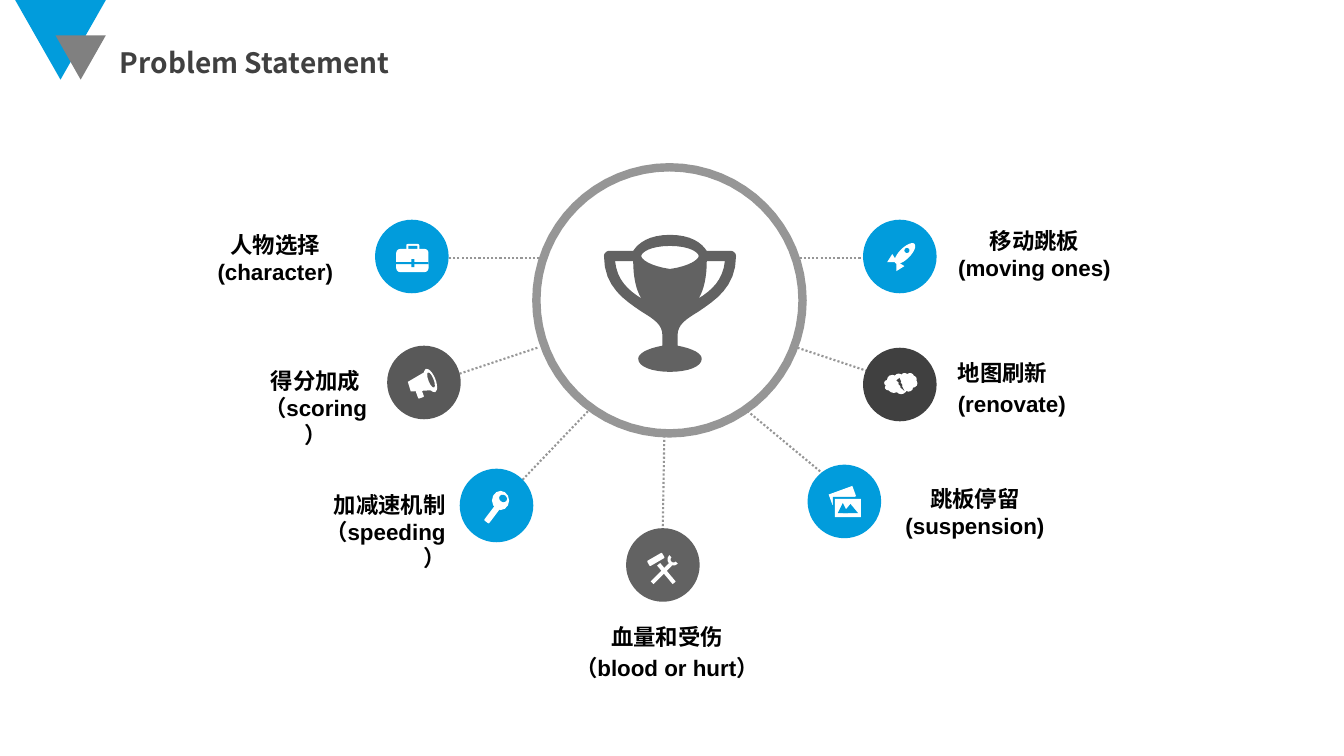
from math import cos, pi, sin

from lxml import etree
from pptx import Presentation
from pptx.dml.color import RGBColor
from pptx.enum.dml import MSO_LINE
from pptx.enum.shapes import MSO_CONNECTOR, MSO_SHAPE
from pptx.enum.text import MSO_ANCHOR, MSO_AUTO_SIZE, PP_ALIGN
from pptx.oxml.ns import qn
from pptx.util import Pt

PX = 9144  # EMU in one px, 100 px to the inch
BLUE = RGBColor(0x01, 0x9C, 0xDC)
MID_GRAY = RGBColor(0x80, 0x80, 0x80)
LINE_GRAY = RGBColor(0x96, 0x96, 0x96)
STEEL = RGBColor(0x62, 0x62, 0x62)
SLATE = RGBColor(0x59, 0x59, 0x59)
CHARCOAL = RGBColor(0x40, 0x40, 0x40)
WHITE = RGBColor(0xFF, 0xFF, 0xFF)
BLACK = RGBColor(0, 0, 0)

TRIANGLE, OVAL = MSO_SHAPE.ISOSCELES_TRIANGLE, MSO_SHAPE.OVAL
RECTANGLE, ROUNDED = MSO_SHAPE.RECTANGLE, MSO_SHAPE.ROUNDED_RECTANGLE
TRAPEZOID, BLOCK_ARC = MSO_SHAPE.TRAPEZOID, MSO_SHAPE.BLOCK_ARC
CLOUD_SHAPE, BOLT = MSO_SHAPE.CLOUD, MSO_SHAPE.LIGHTNING_BOLT
STRAIGHT, DOTTED = MSO_CONNECTOR.STRAIGHT, MSO_LINE.ROUND_DOT
LEFT, CENTER, RIGHT = PP_ALIGN.LEFT, PP_ALIGN.CENTER, PP_ALIGN.RIGHT
TOP, GROW = MSO_ANCHOR.TOP, MSO_AUTO_SIZE.SHAPE_TO_FIT_TEXT
CJK_FONT = "Noto Sans CJK SC"
TITLE_FONT = {"name": CJK_FONT, "size": Pt(20), "bold": True}
LABEL_FONT = {"name": "Arial", "size": Pt(16), "bold": True}
LABEL_FRAME = {"margin_left": 0, "margin_top": 0, "margin_right": 0, "margin_bottom": 0,
               "word_wrap": True, "vertical_anchor": TOP, "auto_size": GROW}
TITLE_FRAME = {**LABEL_FRAME, "margin_left": 10 * PX, "margin_top": 5 * PX,
               "margin_right": 10 * PX, "margin_bottom": 5 * PX}

DISC = 73
CURVE_STEPS = 8

# Icon parts: preset, box, rotation, and whether it is cut out in the disc colour
BRIEFCASE = [
    (ROUNDED, (10, 0, 13, 9), 0, False), (RECTANGLE, (12, 2, 9, 4), 0, True),
    (ROUNDED, (0, 5, 32, 23), 0, False), (RECTANGLE, (0, 18, 32, 2), 0, True),
    (RECTANGLE, (15, 15, 3, 8), 0, True),
]
MEGAPHONE = [
    (ROUNDED, (8, 19, 6, 11), -20, False), (TRAPEZOID, (1, 5, 20, 21), -107, False),
    (OVAL, (17, 0, 10, 25), -22, False), (OVAL, (20, 4, 5, 16), -22, True),
]
KEY = [
    (ROUNDED, (6, 11, 6, 22), 37, False), (OVAL, (8, 0, 17, 19), 0, False),
    (OVAL, (15, 4, 8, 7), 35, True),
]
TOOLS = [
    (RECTANGLE, (13, 7, 4, 26), 45, False), (BLOCK_ARC, (21, 0, 12, 12), 225, False),
    (RECTANGLE, (18, 8, 4, 24), -40, False), (ROUNDED, (1, 3, 17, 6), -30, False),
]
PHOTOS = [
    (RECTANGLE, (2, 5, 25, 11), -20, False), (RECTANGLE, (5, 12, 28, 20), 0, True),
    (RECTANGLE, (7, 14, 26, 18), 0, False), (TRIANGLE, (10, 18, 10, 10), 0, True),
    (TRIANGLE, (15, 19, 15, 9), 0, True),
]
CLOUD = [(CLOUD_SHAPE, (0, 0, 33, 21), 0, False), (BOLT, (12, 5, 8, 13), 0, True)]
ROCKET = [
    (OVAL, (13, -2, 11, 27), 45, False), (TRIANGLE, (1, 12, 10, 8), 0, False),
    (TRIANGLE, (9, 20, 10, 8), 90, False), (OVAL, (18, 6, 5, 5), 0, True),
]

# Right half of the trophy: two numbers are a corner, six are a Bezier curve
TROPHY_AXIS = 65.5
TROPHY_RIM = [(65, 0), (86, 0, 97, 8, 102, 16), (126, 16), (128, 16, 131, 18, 131, 21),
              (131, 52, 110, 65, 94, 76), (81, 84, 73, 89, 73, 100), (73, 110),
              (89, 113, 97, 118, 97, 123), (97, 131, 83, 136, 65, 136)]
TROPHY_MOUTH = [(65, 11), (86, 11, 94, 18, 94, 21), (94, 24, 86, 31, 65, 34)]
TROPHY_HANDLE = [(94, 63), (99, 55, 102, 42, 102, 26), (120, 26), (118, 45, 107, 55, 94, 63)]

# Disc corner, colour, icon, icon offset in the disc, dotted line from and to
CALLOUTS = [
    ((372, 218), BLUE, BRIEFCASE, (21, 24), (535, 256), (434, 256)),
    ((384, 343), SLATE, MEGAPHONE, (21, 22), (533, 345), (428, 380)),
    ((456, 465), BLUE, KEY, (24, 22), (586, 405), (503, 492)),
    ((621, 524), STEEL, TOOLS, (20, 25), (659, 428), (657, 544)),
    ((801, 461), BLUE, PHOTOS, (20, 20), (738, 405), (850, 498)),
    ((856, 345), CHARCOAL, CLOUD, (21, 25), (791, 345), (896, 380)),
    ((856, 218), BLUE, ROCKET, (23, 22), (793, 256), (893, 256)),
]
LABELS = [
    ((942, 225, 168, 54), CENTER, ["移动跳板(moving ones)"]),
    ((209, 229, 128, 54), CENTER, ["人物选择(character)"]),
    ((570, 618, 183, 59), CENTER, ["血量和受伤", "（blood or hurt）"]),
    ((950, 356, 204, 59), LEFT, ["地图刷新", "(renovate)"]),
    ((898, 481, 138, 54), CENTER, ["跳板停留(suspension)"]),
    ((253, 364, 120, 54), CENTER, ["得分加成（scoring）"]),
    ((314, 487, 128, 54), RIGHT, ["加减速机制（speeding）"]),
]


def emu(lengths):
    return [round(length * PX) for length in lengths]


def apply_format(target, values):
    for name, value in values.items():
        setattr(target, name, value)


def paint(shape, color):
    shape.shadow.inherit = False
    shape.fill.solid()
    shape.fill.fore_color.rgb = color
    shape.line.fill.background()


def add_preset(slide, kind, origin, box, color, rotation=0):
    left, top, width, height = box
    shape = slide.shapes.add_shape(kind, *emu((origin[0] + left, origin[1] + top, width, height)))
    shape.rotation = rotation
    paint(shape, color)


def flatten(contour):
    """Turn corners and Bezier curves into a list of points."""
    points = [contour[0]]
    for part in contour[1:]:
        if len(part) == 2:
            points.append(part)
            continue
        anchors = [points[-1], part[:2], part[2:4], part[4:]]
        for step in range(1, CURVE_STEPS + 1):
            t = step / CURVE_STEPS
            weights = ((1 - t) ** 3, 3 * t * (1 - t) ** 2, 3 * t * t * (1 - t), t ** 3)
            points.append(tuple(sum(w * a[axis] for w, a in zip(weights, anchors)) for axis in (0, 1)))
    return points


def mirror(points):
    return [(2 * TROPHY_AXIS - x, y) for x, y in reversed(points)]


def add_outline(slide, origin, outlines):
    scaled = [[emu(point) for point in outline] for outline in outlines]
    builder = slide.shapes.build_freeform(*scaled[0][0])
    for index, points in enumerate(scaled):
        if index:
            builder.move_to(*points[0])
        builder.add_line_segments(points[1:], close=True)
    return builder.convert_to_shape(*emu(origin))


def write_text(frame, lines, frame_format, font_format, color, align, space_before):
    apply_format(frame, frame_format)
    for index, line in enumerate(lines):
        paragraph = frame.add_paragraph() if index else frame.paragraphs[0]
        apply_format(paragraph, {"alignment": align, "space_before": space_before})
        run = paragraph.add_run()
        run.text = line
        apply_format(run.font, font_format)
        run.font.color.rgb = color
        etree.SubElement(run.font._element, qn("a:ea"), typeface=CJK_FONT)


def add_header(slide, left, top):
    add_preset(slide, TRIANGLE, (left, top), (0, 0, 90, 79), BLUE, 180)
    add_preset(slide, TRIANGLE, (left, top), (40, 35, 50, 44), MID_GRAY, 180)
    title = slide.shapes.title
    title.left, title.top, title.width, title.height = emu((left + 94, top + 40, 300, 44))
    write_text(title.text_frame, ["Problem Statement"], TITLE_FRAME, TITLE_FONT, CHARCOAL, LEFT, Pt(0))


def add_callout(slide, corner, color, icon, offset, start, end):
    connector = slide.shapes.add_connector(STRAIGHT, *emu(start + end))
    apply_format(connector.line, {"width": Pt(1.5), "dash_style": DOTTED})
    connector.line.color.rgb = LINE_GRAY
    etree.SubElement(connector.line._get_or_add_ln(), qn("a:tailEnd"), type="oval")
    etree.SubElement(connector._element.spPr, qn("a:effectLst"))
    add_preset(slide, OVAL, corner, (0, 0, DISC, DISC), color)
    origin = [edge + shift for edge, shift in zip(corner, offset)]
    for kind, box, rotation, is_cut in icon:
        add_preset(slide, kind, origin, box, color if is_cut else WHITE, rotation)


def add_hub(slide, left, top, radius, sides=64):
    angles = [2 * pi * side / sides for side in range(sides)]
    rim = [(radius + radius * cos(angle), radius + radius * sin(angle)) for angle in angles]
    ring = add_outline(slide, (left, top), [rim])
    ring.shadow.inherit = False
    ring.fill.background()
    ring.line.color.rgb = LINE_GRAY
    ring.line.width = Pt(6)
    body, mouth, handle = map(flatten, (TROPHY_RIM, TROPHY_MOUTH, TROPHY_HANDLE))
    outlines = [body + mirror(body), mouth + mirror(mouth), handle, mirror(handle)]
    paint(add_outline(slide, (left + 67, top + 67), outlines), STEEL)


def add_label(slide, box, align, lines):
    frame = slide.shapes.add_textbox(*emu(box)).text_frame
    write_text(frame, lines, LABEL_FRAME, LABEL_FONT, BLACK, align, Pt(3.2))


def main():
    presentation = Presentation()
    presentation.slide_width, presentation.slide_height = emu((1333, 750))
    slide = presentation.slides.add_slide(presentation.slide_layouts[5])
    add_header(slide, 15, 0)
    for callout in CALLOUTS:
        add_callout(slide, *callout)
    add_hub(slide, 532, 166, 132)
    for label in LABELS:
        add_label(slide, *label)
    presentation.save("out.pptx")


if __name__ == "__main__":
    main()
